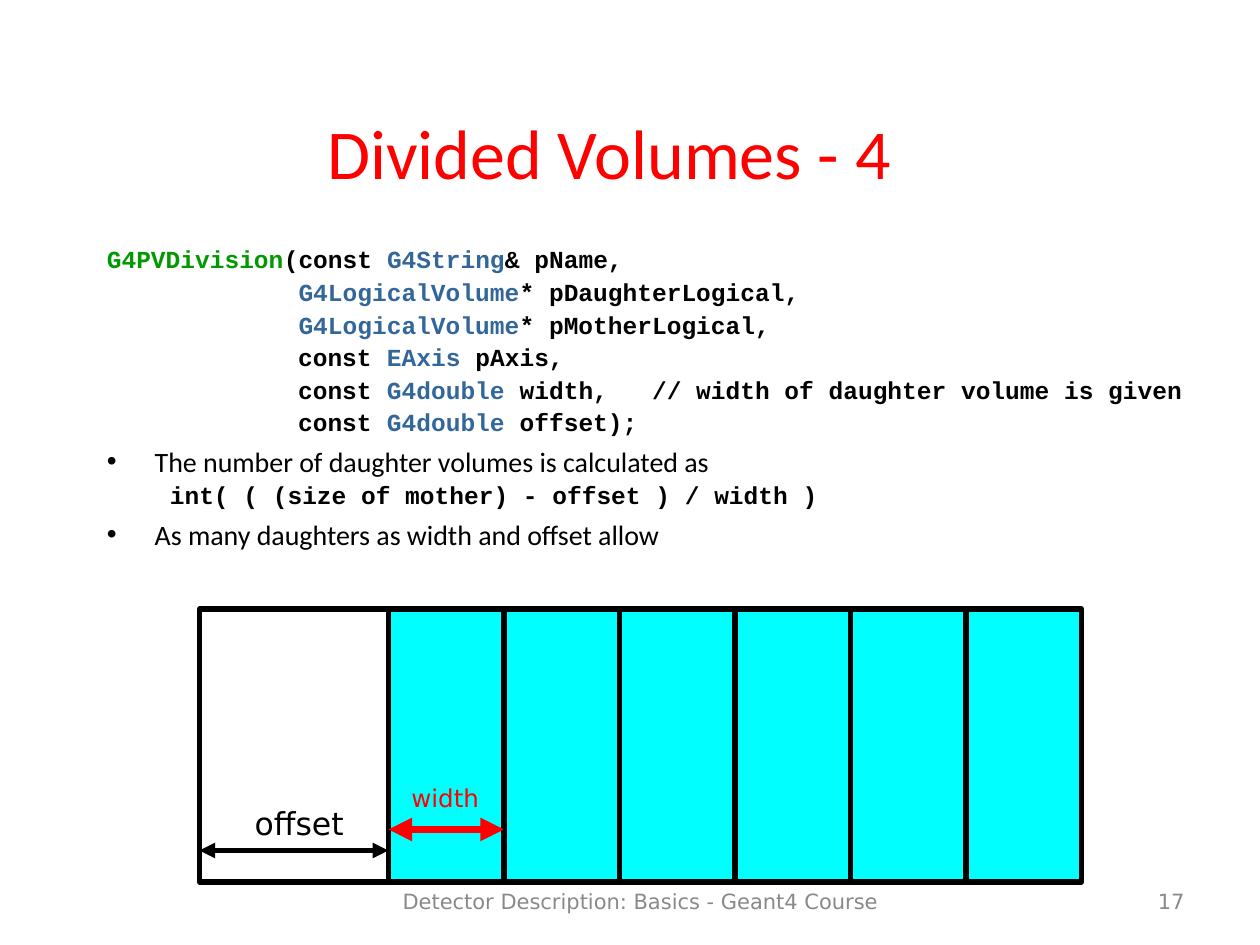
import dataclasses

import pptx
import pptx.dml.color
import pptx.enum.shapes
import pptx.enum.text
import pptx.oxml.ns
import pptx.util
from lxml import etree

ALIGN = pptx.enum.text.PP_ALIGN
ANCHOR = pptx.enum.text.MSO_ANCHOR
SHAPE = pptx.enum.shapes.MSO_SHAPE
STRAIGHT = pptx.enum.shapes.MSO_CONNECTOR.STRAIGHT


@dataclasses.dataclass(frozen=True)
class Theme:
    black: str = "000000"
    red: str = "FF0000"
    green: str = "009900"
    blue: str = "336699"
    cyan: str = "00FFFF"
    grey: str = "898989"
    prose: str = "Calibri"
    mono: str = "Courier New"
    label: str = "DejaVu Sans"
    title_size: int = 40
    prose_size: int = 16
    code_size: int = 14
    offset_size: int = 18
    width_size: int = 14
    footer_size: int = 12


def rgb(colour):
    return pptx.dml.color.RGBColor.from_string(colour)


def child(parent, tag, **attributes):
    return etree.SubElement(parent, pptx.oxml.ns.qn(tag), attributes)


class SlideBuilder:
    """Places elements on a grid of 120 columns by 90 rows."""

    def __init__(self, deck, theme):
        self.theme = theme
        self.slide = deck.slides.add_slide(deck.slide_layouts[5])
        self.column = deck.slide_width / 120
        self.row = deck.slide_height / 90

    def place(self, left, top, width, height):
        return (round(left * self.column), round(top * self.row),
                round(width * self.column), round(height * self.row))

    def add_runs(self, paragraph, runs, font, size, bold=False, **paragraph_format):
        for name, value in paragraph_format.items():
            setattr(paragraph, name, value)
        for text, colour in runs:
            run = paragraph.add_run()
            run.text = text
            for name, value in dict(name=font, size=pptx.util.Pt(size), bold=bold).items():
                setattr(run.font, name, value)
            run.font.color.rgb = rgb(colour)

    def indent(self, paragraph, margin, hanging, bullet=False):
        properties = paragraph._p.get_or_add_pPr()
        properties.set("marL", str(pptx.util.Inches(margin)))
        properties.set("indent", str(pptx.util.Inches(-hanging)))
        if bullet:
            child(properties, "a:buFont", typeface="Arial")
            child(properties, "a:buChar", char="•")

    def title(self, text, box):
        heading = self.slide.shapes.title
        heading.left, heading.top, heading.width, heading.height = self.place(*box)
        frame = heading.text_frame
        frame.auto_size = pptx.enum.text.MSO_AUTO_SIZE.NONE
        frame.vertical_anchor = ANCHOR.MIDDLE
        self.add_runs(frame.paragraphs[0], [(text, self.theme.red)], self.theme.prose,
                      self.theme.title_size, alignment=ALIGN.CENTER)

    def text_frame(self, box, anchor=ANCHOR.TOP):
        frame = self.slide.shapes.add_textbox(*self.place(*box)).text_frame
        frame.word_wrap = True
        frame.vertical_anchor = anchor
        return frame

    def label(self, text, box, size, colour, align, anchor=ANCHOR.TOP):
        paragraph = self.text_frame(box, anchor).paragraphs[0]
        self.add_runs(paragraph, [(text, colour)], self.theme.label, size, alignment=align)

    def rectangle(self, box, fill=None):
        shape = self.slide.shapes.add_shape(SHAPE.RECTANGLE, *self.place(*box))
        shape.shadow.inherit = False
        if fill:
            shape.fill.solid()
            shape.fill.fore_color.rgb = rgb(fill)
        else:
            shape.fill.background()
        shape.line.color.rgb = rgb(self.theme.black)
        shape.line.width = pptx.util.Pt(3)

    def line(self, start, end, colour, weight, arrows=False):
        connector = self.slide.shapes.add_connector(
            STRAIGHT, *self.place(*start, *end))
        connector.line.color.rgb = rgb(colour)
        connector.line.width = pptx.util.Pt(weight)
        if arrows:
            outline = connector.get_or_add_ln()
            for tag in ("a:headEnd", "a:tailEnd"):
                child(outline, tag, type="triangle")
        child(connector._element.spPr, "a:effectLst")


def add_description(page):
    theme = page.theme
    black, blue = theme.black, theme.blue
    pad = " " * len("G4PVDivision(")
    signature = [
        [("G4PVDivision", theme.green), ("(const ", black), ("G4String", blue),
         ("& pName,", black)],
    ] + [
        [(pad + before, black), (kind, blue), (after, black)]
        for before, kind, after in (
            ("", "G4LogicalVolume", "* pDaughterLogical,"),
            ("", "G4LogicalVolume", "* pMotherLogical,"),
            ("const ", "EAxis", " pAxis,"),
            ("const ", "G4double", " width,   // width of daughter volume is given"),
            ("const ", "G4double", " offset);"),
        )
    ]
    formula = [("int( ( (size of mother) - offset ) / width )", black)]
    frame = page.text_frame((9, 23, 108, 32))

    def code(paragraph, runs, margin, hanging, space=3.5):
        page.indent(paragraph, margin, hanging)
        page.add_runs(paragraph, runs, theme.mono, theme.code_size, bold=True,
                      line_spacing=0.9, space_before=pptx.util.Pt(space))

    def bullet(text):
        paragraph = frame.add_paragraph()
        page.indent(paragraph, 0.38, 0.38, bullet=True)
        page.add_runs(paragraph, [(text, black)], theme.prose, theme.prose_size,
                      space_before=pptx.util.Pt(4))

    code(frame.paragraphs[0], signature[0], 0.38, 0.38, space=0)
    for argument in signature[1:]:
        code(frame.add_paragraph(), argument, 0.38, 0.38)
    bullet("The number of daughter volumes is calculated as")
    formula_line = frame.add_paragraph()
    formula_line.level = 1
    code(formula_line, formula, 0.81, 0.31)
    bullet("As many daughters as width and offset allow")


def add_division_diagram(page):
    theme = page.theme
    left, top, height = 19, 58, 26
    offset, width, daughters = 18, 11, 6
    first = left + offset
    bottom = top + height

    # Mother volume and its daughters
    page.rectangle((left, top, 78, height))
    for number in range(daughters):
        page.rectangle((first + number * width, top, width, height), theme.cyan)

    # Offset and width dimensions
    page.line((left, 81), (first, 81), theme.black, 3, arrows=True)
    page.label("offset", (22, 76, 13, 4.8), theme.offset_size, theme.black, ALIGN.CENTER)
    page.line((first, 79), (first + width, 79), theme.red, 4.5, arrows=True)
    page.label("width", (38, 74, 10, 4), theme.width_size, theme.red, ALIGN.LEFT)

    # Edges of the first daughter
    for edge in (first, first + width):
        page.line((edge, bottom), (edge, top), theme.black, 0.75)


def main():
    deck = pptx.Presentation()
    deck.slide_width = pptx.util.Inches(10)
    deck.slide_height = pptx.util.Inches(7.5)
    theme = Theme()
    page = SlideBuilder(deck, theme)

    page.title("Divided Volumes - 4", (7, 9.8, 102, 9.2))
    add_description(page)

    # Footer and page number
    for text, box, align in (
        ("Detector Description: Basics - Geant4 Course", (32, 83.4, 58, 4.8), ALIGN.CENTER),
        ("17", (100, 83.4, 14, 4.8), ALIGN.RIGHT),
    ):
        page.label(text, box, theme.footer_size, theme.grey, align, ANCHOR.MIDDLE)

    add_division_diagram(page)
    deck.save("out.pptx")


if __name__ == "__main__":
    main()
